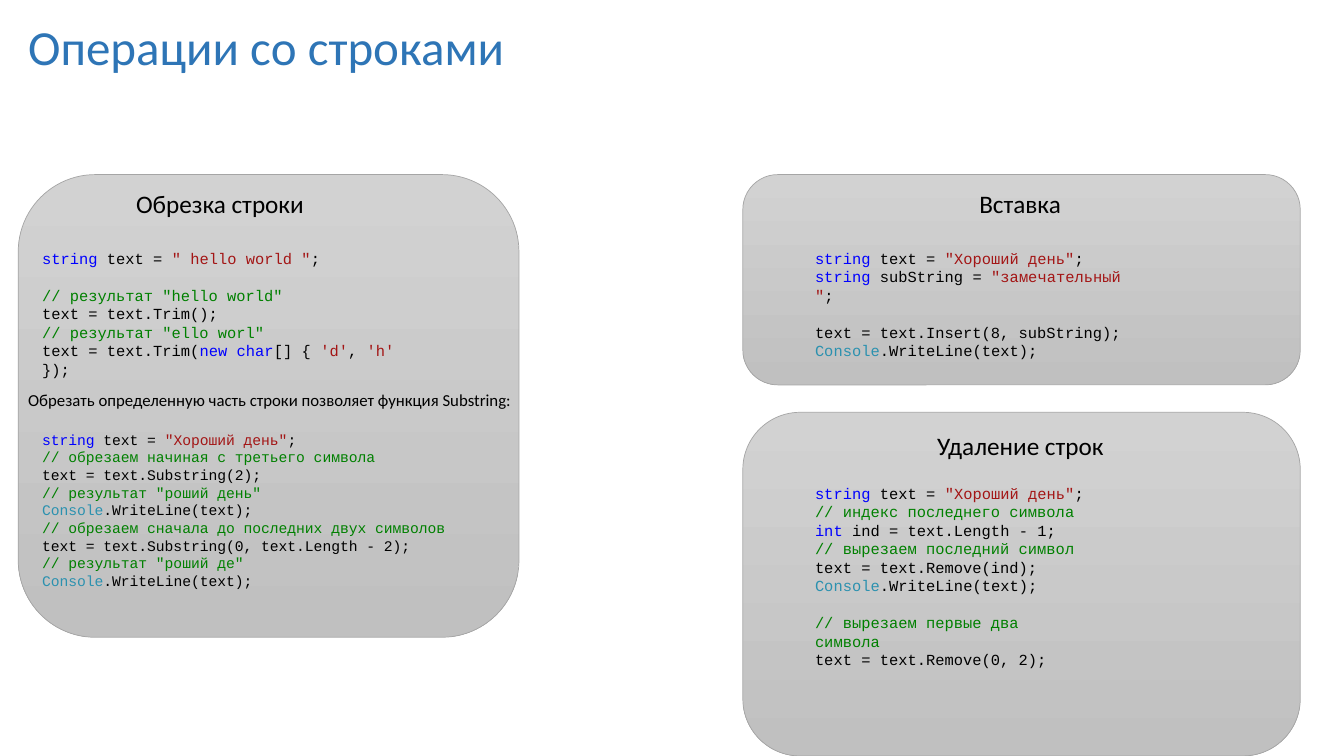
from pptx import Presentation
from pptx.dml.color import RGBColor
from pptx.enum.shapes import MSO_SHAPE
from pptx.enum.text import MSO_AUTO_SIZE
from pptx.util import Cm, Pt

ROUNDED = MSO_SHAPE.ROUNDED_RECTANGLE
GROW = MSO_AUTO_SIZE.SHAPE_TO_FIT_TEXT

COLORS = {
    "title": "2E75B6",
    "plain": "000000",
    "keyword": "0000FF",
    "string": "A31515",
    "comment": "008000",
    "class": "2B91AF",
    "card_top": "D2D2D2",
    "card_bottom": "C0C0C0",
    "card_edge": "A5A5A5",
}

# A code line is a list of (colour name, text) pairs; GAP leaves one line free.
GAP = []
GREETING = [("keyword", "string"), ("plain", " text = "),
            ("string", '"Хороший день"'), ("plain", ";")]
PRINT = [("class", "Console"), ("plain", ".WriteLine(text);")]


def plain(text):
    return [("plain", text)]


def comment(text):
    return [("comment", "// " + text)]


TRIM_CODE = [
    [("keyword", "string"), ("plain", " text = "),
     ("string", '" hello world "'), ("plain", ";")],
    GAP,
    comment('результат "hello world"'),
    plain("text = text.Trim();"),
    comment('результат "ello worl"'),
    [("plain", "text = text.Trim("), ("keyword", "new char"), ("plain", "[] { "),
     ("string", "'d'"), ("plain", ", "), ("string", "'h'"), ("plain", " });")],
]
SUBSTRING_CODE = [
    GREETING,
    comment("обрезаем начиная с третьего символа"),
    plain("text = text.Substring(2);"),
    comment('результат "роший день"'),
    PRINT,
    comment("обрезаем сначала до последних двух символов"),
    plain("text = text.Substring(0, text.Length - 2);"),
    comment('результат "роший де"'),
    PRINT,
]
INSERT_CODE = [
    GREETING,
    [("keyword", "string "), ("plain", "subString = "),
     ("string", '"замечательный "'), ("plain", ";")],
    GAP,
    plain("text = text.Insert(8, subString);"),
    PRINT,
]
REMOVE_CODE = [
    GREETING,
    comment("индекс последнего символа"),
    [("keyword", "int "), ("plain", "ind = text.Length - 1;")],
    comment("вырезаем последний символ"),
    plain("text = text.Remove(ind);"),
    PRINT,
    GAP,
    comment("вырезаем первые два символа"),
    plain("text = text.Remove(0, 2);"),
]


def rgb(name):
    return RGBColor.from_string(COLORS[name])


def add_run(paragraph, text, *, size, color="plain", font="Calibri"):
    run = paragraph.add_run()
    run.text = text
    run.font.size = Pt(size)
    run.font.name = font
    run.font.color.rgb = rgb(color)


class SlideBuilder:
    """Places cards, labels and code in centimetres on one slide."""

    code_font = "Courier New"
    line_factor = 1.2

    def __init__(self, slide):
        self.slide = slide

    def card(self, left, top, width, height):
        card = self.slide.shapes.add_shape(
            ROUNDED, Cm(left), Cm(top), Cm(width), Cm(height))
        card.shadow.inherit = False
        card.fill.gradient()
        card.fill.gradient_angle = 270
        for stop, name in zip(card.fill.gradient_stops, ("card_top", "card_bottom")):
            stop.color.rgb = rgb(name)
        card.line.color.rgb = rgb("card_edge")
        card.line.width = Pt(0.5)

    def frame(self, left, top, width, height, wrap):
        box = self.slide.shapes.add_textbox(Cm(left), Cm(top), Cm(width), Cm(height))
        box.text_frame.word_wrap = wrap
        box.text_frame.auto_size = GROW
        return box.text_frame

    def label(self, text, left, top, width, height, wrap=False, **style):
        frame = self.frame(left, top, width, height, wrap)
        add_run(frame.paragraphs[0], text, **style)

    def code(self, lines, left, top, width, height, size=11):
        frame = self.frame(left, top, width, height, wrap=True)
        spacing = Pt(size * self.line_factor)
        paragraph = None
        for line in lines:
            if line == GAP:
                paragraph.space_after = spacing
                continue
            paragraph = frame.add_paragraph() if paragraph else frame.paragraphs[0]
            paragraph.line_spacing = spacing
            for color, text in line:
                add_run(paragraph, text, size=size, color=color, font=self.code_font)


def main():
    presentation = Presentation()
    presentation.slide_width = Cm(33.87)
    presentation.slide_height = Cm(19.05)
    blank = presentation.slide_layouts[6]
    builder = SlideBuilder(presentation.slides.add_slide(blank))

    builder.label("Операции со строками", 0.46, 0.3, 12.62, 1.75,
                  size=35, color="title")

    builder.card(0.46, 4.4, 12.62, 11.66)
    builder.label("Обрезка строки", 3.18, 4.62, 4.8, 1.02, size=18)
    builder.code(TRIM_CODE, 0.81, 6.15, 9.53, 3.5)
    builder.label("Обрезать определенную часть строки позволяет функция Substring:",
                  0.46, 9.7, 12.88, 0.76, wrap=True, size=12)
    builder.code(SUBSTRING_CODE, 0.81, 10.72, 11.51, 4.29, size=10.5)

    builder.card(18.72, 4.4, 14.05, 5.3)
    builder.label("Вставка", 24.43, 4.62, 2.59, 1.02, size=18)
    builder.code(INSERT_CODE, 20.29, 6.15, 8.31, 3.05)

    builder.card(18.72, 10.39, 14.05, 8.66)
    builder.label("Удаление строк", 23.37, 10.72, 4.75, 1.02, size=18)
    builder.code(REMOVE_CODE, 20.29, 12.07, 7.44, 4.9)

    presentation.save("out.pptx")


if __name__ == "__main__":
    main()
